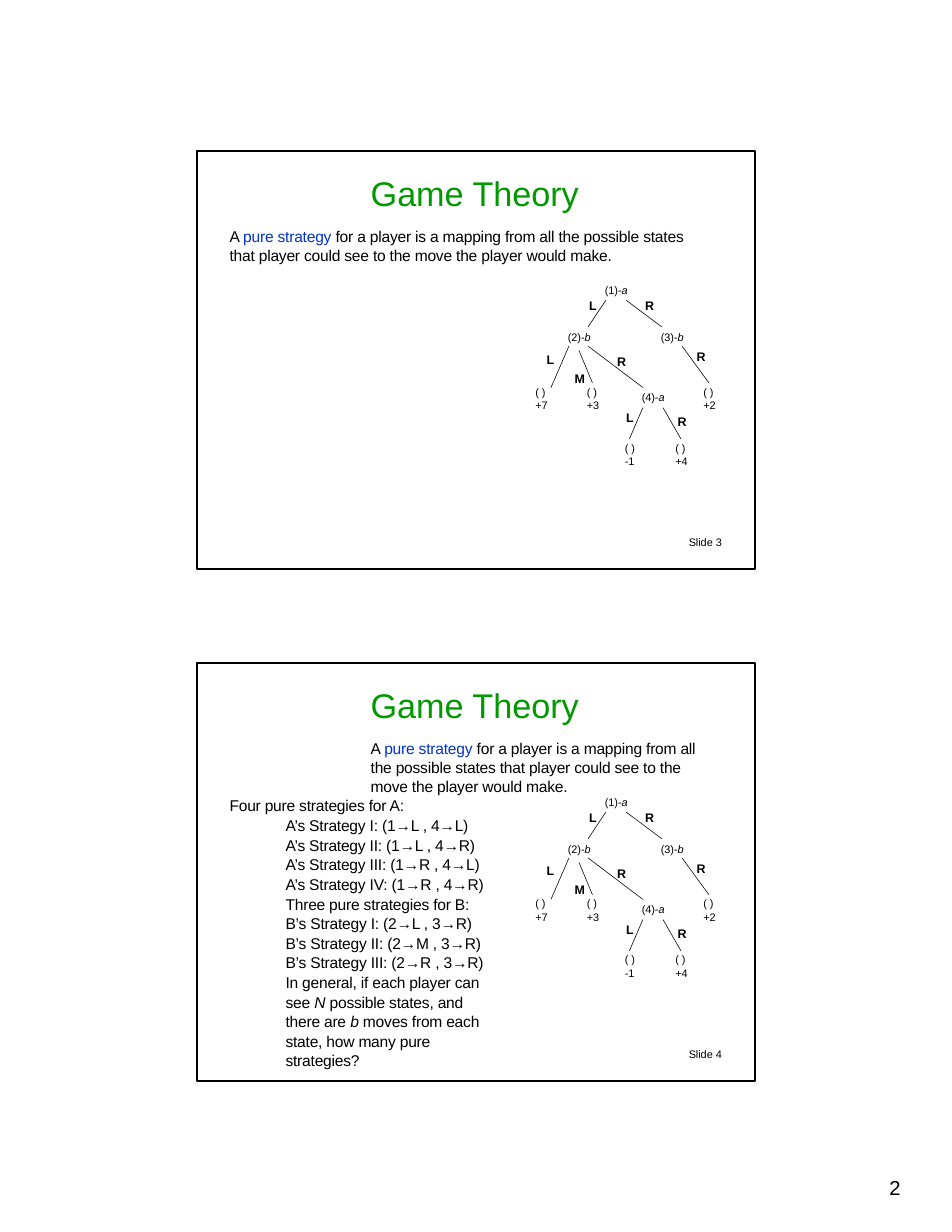
from lxml.etree import SubElement
from pptx import Presentation
from pptx.dml.color import RGBColor
from pptx.enum.shapes import MSO_CONNECTOR as Connector, MSO_SHAPE as Shape
from pptx.enum.text import MSO_ANCHOR as Anchor, MSO_AUTO_SIZE as AutoSize, PP_ALIGN as Align
from pptx.oxml.ns import qn
from pptx.util import Inches, Pt

BLACK, GREEN, BLUE = "000000", "009A00", "0033CC"
PANEL_STEP = 4.57
HEADING = "Game Theory"

# Positions below are those of the upper panel.
STATES = [("(1)-", "a", 5.4, 2.51), ("(2)-", "b", 5.07, 2.93),
          ("(3)-", "b", 5.9, 2.93), ("(4)-", "a", 5.73, 3.47)]
PAYOFFS = [("+7", 4.78, 3.42), ("+3", 5.24, 3.42), ("+2", 6.28, 3.42),
           ("-1", 5.58, 3.92), ("+4", 6.03, 3.92)]
# Move, place of its label, start and end of its branch
MOVES = [
    ("L", (5.26, 2.64), (5.41, 2.68), (5.25, 2.92)),
    ("R", (5.76, 2.64), (5.59, 2.68), (5.91, 2.92)),
    ("L", (4.88, 3.12), (5.08, 3.09), (4.92, 3.46)),
    ("M", (5.13, 3.29), (5.17, 3.13), (5.29, 3.42)),
    ("R", (5.51, 3.14), (5.25, 3.09), (5.74, 3.46)),
    ("R", (6.22, 3.1), (6.09, 3.09), (6.33, 3.42)),
    ("L", (5.59, 3.64), (5.74, 3.64), (5.62, 3.92)),
    ("R", (6.05, 3.68), (5.92, 3.64), (6.08, 3.92)),
]
DEFINITION = ["A ", ("pure strategy ", {"color": BLUE}),
              "for a player is a mapping from all the possible states "
              "that player could see to the move the player would make."]
A_STRATEGIES = [("I", "L", "L"), ("II", "L", "R"), ("III", "R", "L"), ("IV", "R", "R")]
B_STRATEGIES = [("I", "L", "R"), ("II", "M", "R"), ("III", "R", "R")]
QUESTION = ["In general, if each player can see ", ("N", {"italic": True}),
            " possible states, and there are ", ("b", {"italic": True}),
            " moves from each state, how many pure strategies?"]


def rgb(color):
    return RGBColor.from_string(color)


def add_span(para, text, size=10, color=BLACK, bold=False, italic=False, spacing=0):
    span = para.add_run()
    span.text = text
    font = span.font
    font.name, font.size, font.bold, font.italic = "Arial", Pt(size), bold, italic
    font.color.rgb = rgb(color)
    if spacing:
        span._r.get_or_add_rPr().set("spc", str(round(spacing * 100)))


def fill_frame(frame, paragraphs, **style):
    """Write paragraphs, each a list of plain strings or (text, changes) pairs."""
    frame.word_wrap = True
    frame.auto_size = AutoSize.NONE
    frame.vertical_anchor = Anchor.TOP
    frame.margin_left = frame.margin_right = frame.margin_bottom = 0
    frame.margin_top = Inches(0.02)
    for index, spans in enumerate(paragraphs):
        para = frame.add_paragraph() if index else frame.paragraphs[0]
        para.alignment = Align.LEFT
        para.space_before = Pt(0)
        for span in spans:
            text, changes = (span, {}) if isinstance(span, str) else span
            add_span(para, text, **{**style, **changes})


def strategy_lines(player, states, strategies):
    first, second = states
    return [[f"{player}’s Strategy {number}: ({first}→{one} , {second}→{two})"]
            for number, one, two in strategies]


class Handout:
    heading_style = {"size": 22, "color": GREEN}
    body_style = {"size": 10, "spacing": -0.1}
    node_style = {"size": 7}
    move_style = {"size": 8, "bold": True}

    def __init__(self, page):
        self.page = page

    def text(self, left, top, width, height, paragraphs, **style):
        box = self.page.shapes.add_textbox(Inches(left), Inches(top), Inches(width), Inches(height))
        fill_frame(box.text_frame, paragraphs, **style)
        return box

    def title(self, left, top, width, height):
        box = self.page.shapes.title
        box.left, box.top = Inches(left), Inches(top)
        box.width, box.height = Inches(width), Inches(height)
        fill_frame(box.text_frame, [[HEADING]], **self.heading_style)

    def frame(self, top):
        box = self.page.shapes.add_shape(
            Shape.RECTANGLE, Inches(1.76), Inches(top), Inches(4.98), Inches(3.73))
        box.shadow.inherit = False
        box.fill.background()
        box.line.color.rgb = rgb(BLACK)
        box.line.width = Pt(1.02)

    def branch(self, start, end, shift):
        (x1, y1), (x2, y2) = start, end
        line = self.page.shapes.add_connector(
            Connector.STRAIGHT, Inches(x1), Inches(y1 + shift), Inches(x2), Inches(y2 + shift))
        line.line.color.rgb = rgb(BLACK)
        line.line.width = Pt(0.37)
        SubElement(line._element.spPr, qn("a:effectLst"))

    def tree(self, shift):
        for move, (left, top), start, end in MOVES:
            self.branch(start, end, shift)
            self.text(left, top + shift, 0.11, 0.16, [[move]], **self.move_style)
        for state, player, left, top in STATES:
            self.text(left, top + shift, 0.25, 0.15,
                      [[state, (player, {"italic": True})]], **self.node_style)
        for payoff, left, top in PAYOFFS:
            self.text(left, top + shift, 0.14, 0.26, [["( )"], [payoff]], **self.node_style)

    def panel(self, number, shift, definition_left):
        self.frame(1.35 + shift)
        self.text(definition_left, 2.01 + shift, 6.25 - definition_left, 0.52,
                  [DEFINITION], **self.body_style)
        self.tree(shift)
        self.text(6.15, 4.76 + shift, 0.33, 0.15, [[f"Slide {number}"]], **self.node_style)

    def strategies(self):
        paragraphs = [["Four pure strategies for A:"],
                      *strategy_lines("A", (1, 4), A_STRATEGIES),
                      ["Three pure strategies for B:"],
                      *strategy_lines("B", (2, 3), B_STRATEGIES),
                      QUESTION]
        box = self.text(2.05, 7.09, 2.4, 2.28, paragraphs, **self.body_style)
        for para in box.text_frame.paragraphs[1:]:
            para.line_spacing = 1.05
            para._p.get_or_add_pPr().set("marL", str(Inches(0.5)))


def main():
    deck = Presentation()
    deck.slide_width, deck.slide_height = Inches(8.5), Inches(11)
    handout = Handout(deck.slides.add_slide(deck.slide_layouts[5]))

    handout.title(3.31, 1.52, 1.9, 0.4)
    handout.panel(3, 0, definition_left=2.05)

    handout.text(3.31, 1.52 + PANEL_STEP, 1.9, 0.4, [[HEADING]], **handout.heading_style)
    handout.panel(4, PANEL_STEP, definition_left=3.31)
    handout.strategies()

    handout.text(7.94, 10.47, 0.23, 0.23, [["2"]], size=13)
    deck.save("out.pptx")


if __name__ == "__main__":
    main()
